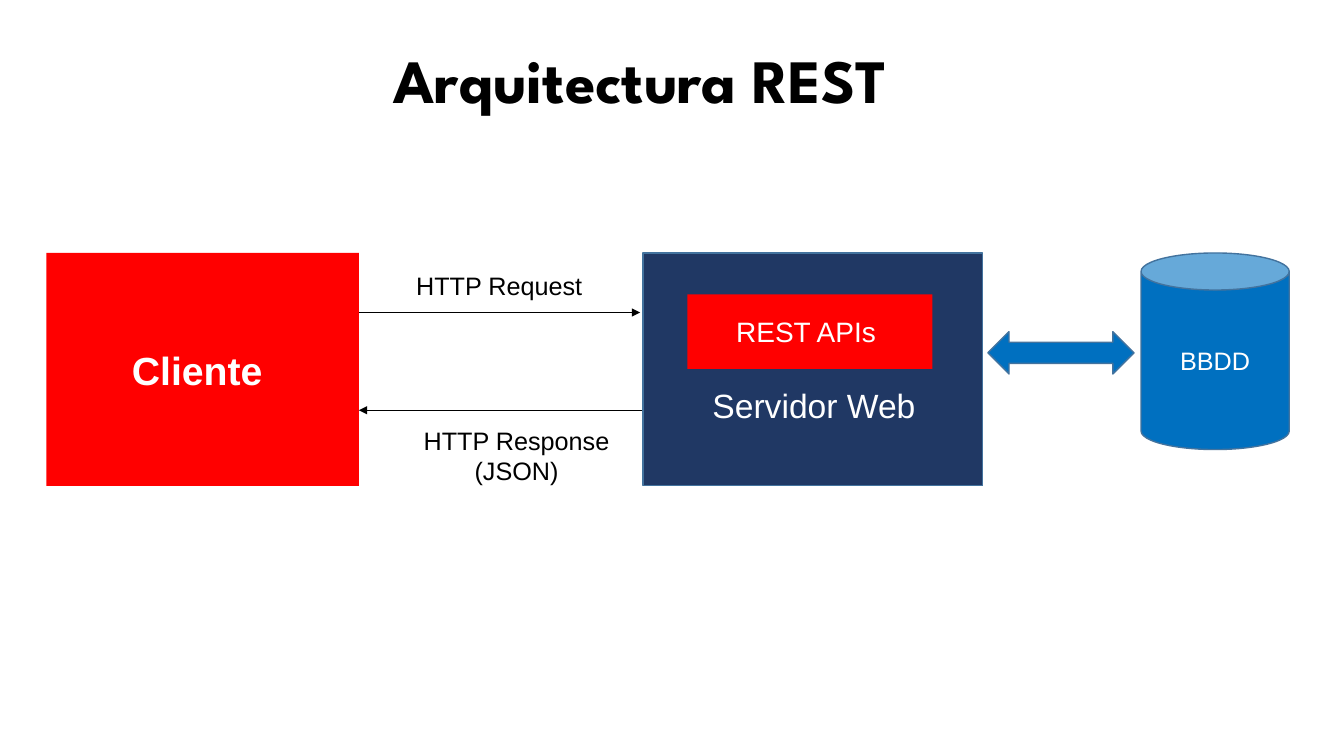
from dataclasses import dataclass

from lxml.etree import SubElement
from pptx import Presentation
from pptx.dml.color import RGBColor
from pptx.enum.shapes import MSO_CONNECTOR as Link, MSO_SHAPE as Shape
from pptx.enum.text import MSO_ANCHOR as Anchor, PP_ALIGN as Align
from pptx.oxml.ns import qn
from pptx.util import Inches, Pt

# The slide is a grid of square cells; every length counts cells.
CELL = Inches(0.1)
COLUMNS, ROWS = 133.33, 75


@dataclass(frozen=True)
class Theme:
    red: str = "FF0000"
    navy: str = "203864"
    blue: str = "0070C0"
    outline: str = "43739E"
    black: str = "000000"
    white: str = "FFFFFF"
    heading: str = "League Spartan"
    body: str = "Arial"
    title: int = 44
    client: int = 28
    server: int = 24
    api: int = 20
    label: int = 18
    border: float = 1
    wire: float = 0.5


THEME = Theme()


@dataclass(frozen=True)
class Box:
    left: float
    top: float
    width: float
    height: float

    @property
    def right(self):
        return self.left + self.width

    def within(self, across, down, width, height):
        return Box(self.left + across, self.top + down, width, height)

    def emu(self):
        return [cells(n) for n in (self.left, self.top, self.width, self.height)]


def cells(count):
    return round(count * CELL)


def rgb(value):
    return RGBColor.from_string(value)


def write(frame, lines, size, color, font=THEME.body, bold=False, align=Align.CENTER):
    frame.word_wrap = True
    for index, line in enumerate(lines):
        paragraph = frame.add_paragraph() if index else frame.paragraphs[0]
        paragraph.alignment = align
        run = paragraph.add_run()
        run.text = line
        run.font.size, run.font.name, run.font.bold = Pt(size), font, bold
        run.font.color.rgb = rgb(color)


def add_label(slide, box, lines, size, color, **style):
    label = slide.shapes.add_textbox(*box.emu())
    write(label.text_frame, lines, size, color, **style)


def add_block(slide, kind, box, fill, outlined=False):
    block = slide.shapes.add_shape(kind, *box.emu())
    block.shadow.inherit = False
    block.fill.solid()
    block.fill.fore_color.rgb = rgb(fill)
    if outlined:
        block.line.color.rgb = rgb(THEME.outline)
        block.line.width = Pt(THEME.border)
    else:
        block.line.fill.background()
    block.text_frame.vertical_anchor = Anchor.MIDDLE
    return block


def add_arrow(slide, start, end, row):
    arrow = slide.shapes.add_connector(
        Link.STRAIGHT, cells(start), cells(row), cells(end), cells(row))
    arrow.line.color.rgb = rgb(THEME.black)
    arrow.line.width = Pt(THEME.wire)
    SubElement(arrow.line._get_or_add_ln(), qn("a:tailEnd"), type="triangle")
    SubElement(arrow._element.spPr, qn("a:effectLst"))


def draw_title(slide, box):
    add_label(slide, box, ["Arquitectura REST"], THEME.title, THEME.black,
              font=THEME.heading, bold=True)


def draw_client(slide, box):
    client = add_block(slide, Shape.RECTANGLE, box, THEME.red)
    write(client.text_frame, ["Cliente "], THEME.client, THEME.white, bold=True)


def draw_messages(slide, box):
    # Request above, response below
    add_arrow(slide, box.left, box.right - 0.3, box.top + 5.9)
    add_arrow(slide, box.right, box.left, box.top + 15.6)
    add_label(slide, box.within(4.7, 1.2, 22.3, 4), ["HTTP Request"],
              THEME.label, THEME.black, align=Align.LEFT)
    add_label(slide, box.within(4.5, 16.6, 22.3, 7.1), ["HTTP Response", "(JSON)"],
              THEME.label, THEME.black)


def draw_server(slide, box):
    add_block(slide, Shape.RECTANGLE, box, THEME.navy, outlined=True)
    api = add_block(slide, Shape.RECTANGLE, box.within(4.4, 4.1, 24.3, 7.4), THEME.red)
    write(api.text_frame, ["REST APIs "], THEME.api, THEME.white)
    add_label(slide, box.within(5.9, 12.6, box.width, 5), ["Servidor Web"],
              THEME.server, THEME.white, align=Align.LEFT)


def draw_database(slide, box):
    # Two-way arrow from the server, then the store
    add_block(slide, Shape.LEFT_RIGHT_ARROW, box.within(0.5, 7.8, 14.5, 4.2),
              THEME.blue, outlined=True)
    database = add_block(slide, Shape.CAN, box.within(15.7, 0, 14.7, 19.5),
                         THEME.blue, outlined=True)
    write(database.text_frame, ["BBDD"], THEME.label, THEME.white)


def main():
    deck = Presentation()
    deck.slide_width, deck.slide_height = cells(COLUMNS), cells(ROWS)
    slide = deck.slides.add_slide(deck.slide_layouts[6])

    # Regions, left to right along one band
    margin, band, height = 4.6, 25.1, 23.1
    client = Box(margin, band, 31, height)
    messages = Box(client.right, band, 28.2, height)
    server = Box(messages.right, band, 33.7, height)
    database = Box(server.right, band, 30.4, height)

    draw_title(slide, Box(margin, 3.7, 117.9, 8.4))
    draw_client(slide, client)
    draw_messages(slide, messages)
    draw_server(slide, server)
    draw_database(slide, database)
    deck.save("out.pptx")


if __name__ == "__main__":
    main()
